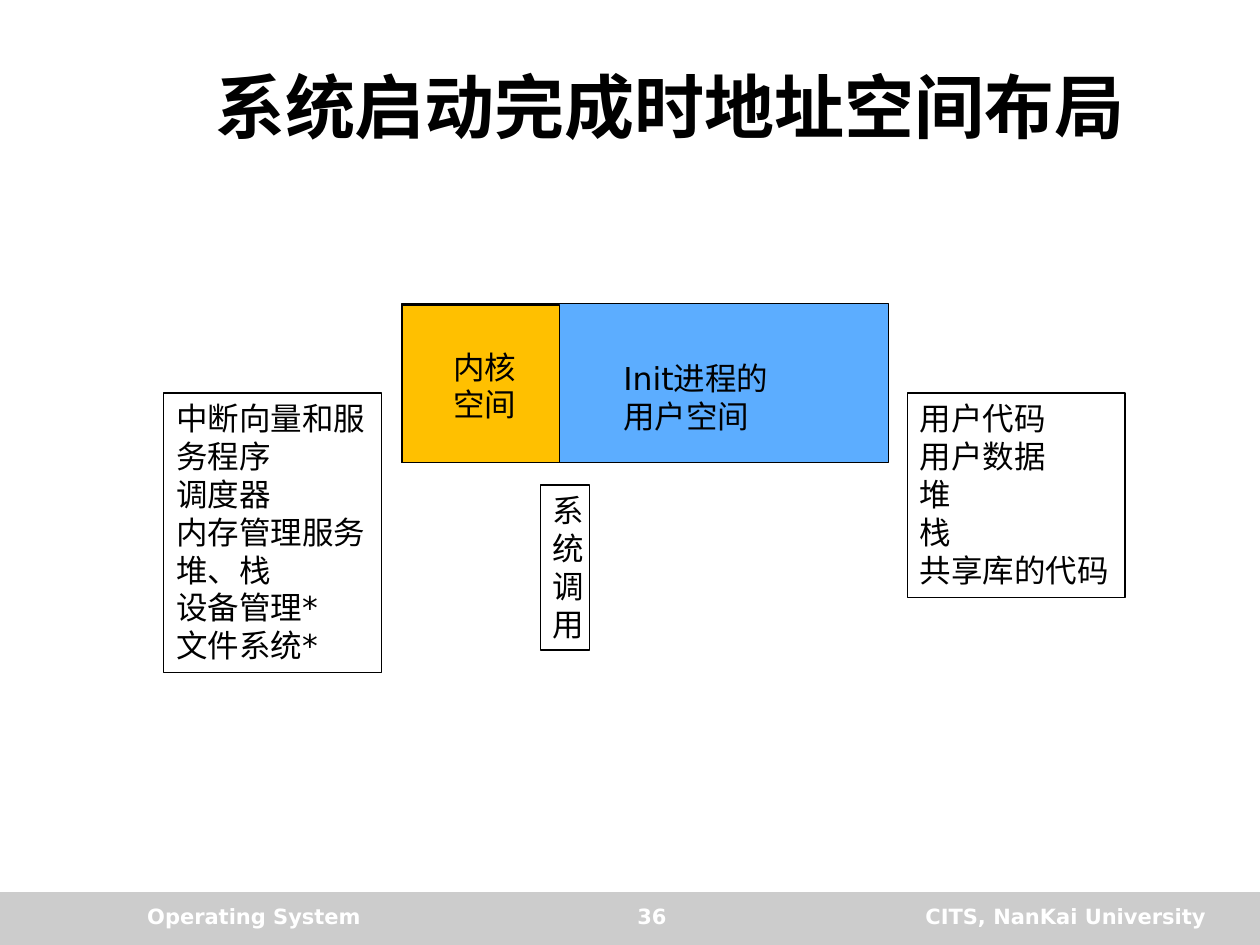
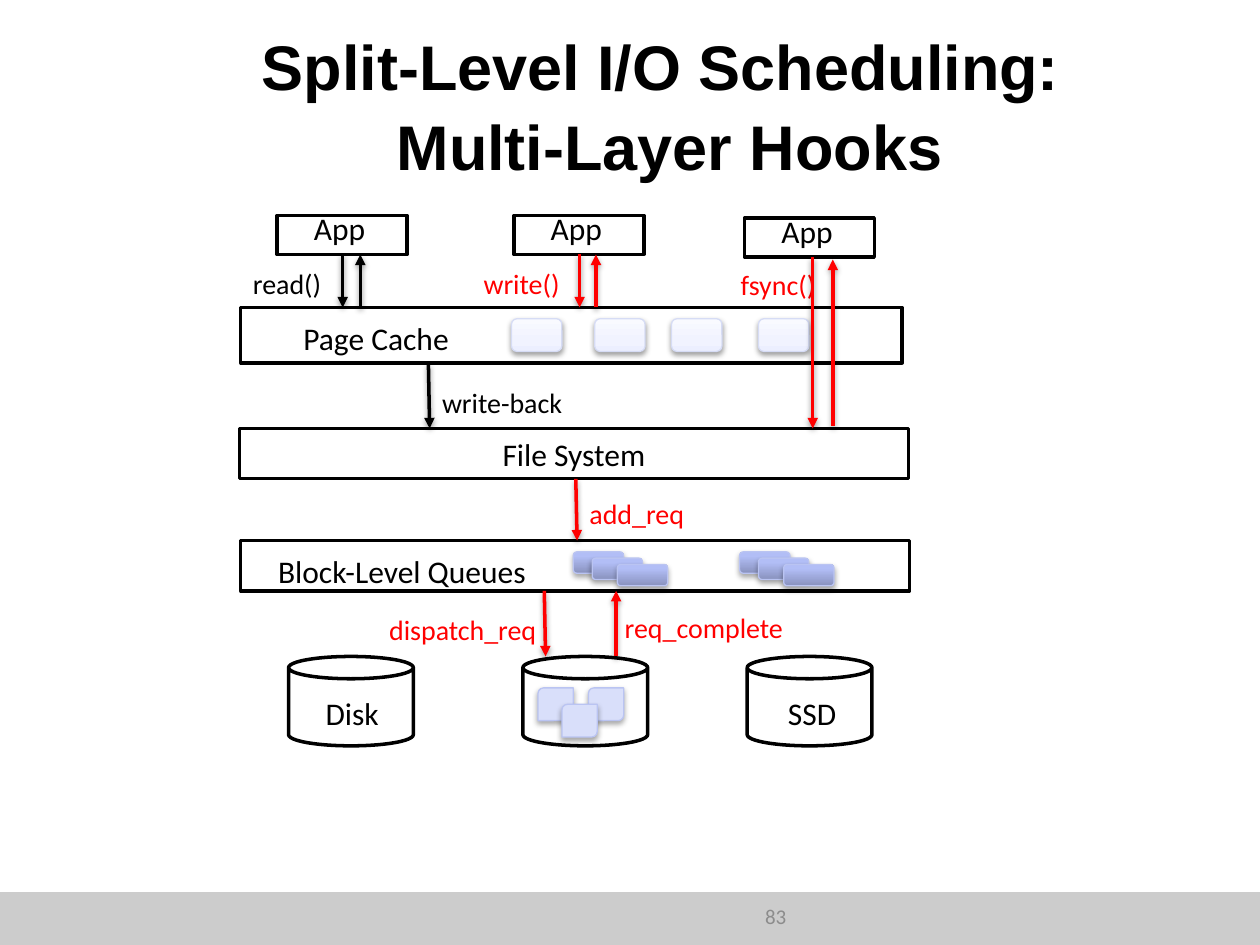
"""Build two operating-system slides: address space layout and I/O scheduling hooks."""
from lxml import etree
from pptx import Presentation
from pptx.dml.color import RGBColor
from pptx.enum.shapes import MSO_CONNECTOR, MSO_SHAPE
from pptx.enum.text import MSO_ANCHOR, MSO_AUTO_SIZE, PP_ALIGN
from pptx.oxml import parse_xml
from pptx.oxml.ns import nsdecls, qn
from pptx.util import Inches, Pt

RECT, ROUND, CAN = MSO_SHAPE.RECTANGLE, MSO_SHAPE.ROUNDED_RECTANGLE, MSO_SHAPE.CAN
DIAG = MSO_SHAPE.ROUND_2_DIAG_RECTANGLE
STRAIGHT = MSO_CONNECTOR.STRAIGHT
LEFT, CENTER, RIGHT = PP_ALIGN.LEFT, PP_ALIGN.CENTER, PP_ALIGN.RIGHT
TOP, MIDDLE = MSO_ANCHOR.TOP, MSO_ANCHOR.MIDDLE
NO_AUTOFIT = MSO_AUTO_SIZE.NONE

BLACK, WHITE, RED, BAND, MUTED = "000000", "FFFFFF", "FF0000", "CCCCCC", "8C8C8C"
USER_BLUE, KERNEL_ORANGE = "5CADFF", "FFC000"
PAGE_LINE, REQUEST_LINE, BLOCK_FILL = "D6DCF5", "BAC4F2", "D9DFFA"
PAGE_GRADIENT = [(0, "ECEFFF"), (35, "F1F3FF"), (100, "F9FAFF")]
REQUEST_GRADIENT = [(0, "8992BE"), (80, "B2BEF6"), (100, "B2BEF9")]
SOFT_SHADOW = (38, 40000, 20000)
DEEP_SHADOW = (35, 40000, 23000)

TITLE_AT = (1.06, 0.33, 8.51, 0.98)
BAND_AT = (0, 7.08, 10, 0.42)
COURSE_AT = (1.07, 7.12, 2.75, 0.33)
NUMBER_AT = (4.01, 7.12, 2.33, 0.33)
SCHOOL_AT = (6.5, 7.12, 3.17, 0.33)

LAYOUT_FONT = ("DejaVu Sans", 18, BLACK)
FOOTER_FONT = ("DejaVu Sans", 12, WHITE, True)
NUMBER_FONT = ("Calibri", 12, MUTED)
LAYER_FONT = ("Calibri", 18, BLACK)

SPACES = [
    ((3.19, 2.41, 3.86, 1.26), USER_BLUE),
    ((3.19, 2.42, 1.25, 1.25), KERNEL_ORANGE),
]
SPACE_NAMES = [
    ((4.85, 2.8, 1.93, 0.71), ["Init进程的", "用户空间"]),
    ((3.5, 2.71, 1.01, 0.71), ["内核", "空间"]),
]
SPACE_CONTENTS = [
    ((1.3, 3.12, 1.73, 2.22),
     ["中断向量和服务程序", "调度器", "内存管理服务", "堆、栈", "设备管理*", "文件系统*"]),
    ((7.2, 3.12, 1.73, 1.62), ["用户代码", "用户数据", "堆", "栈", "共享库的代码"]),
    ((4.29, 3.85, 0.39, 1.31), ["系统调用"]),
]

LAYERS = [
    (RECT, (1.91, 2.44, 5.25, 0.44)),
    (RECT, (1.9, 3.4, 5.31, 0.4)),
    (RECT, (1.91, 4.29, 5.31, 0.4)),
]
LAYER_NAMES = [
    ("Page Cache", (1.9, 2.48, 2.17, 0.32)),
    ("File System", (1.9, 3.4, 5.31, 0.26)),
    ("Block-Level Queues", (1.95, 4.33, 2.48, 0.32)),
    ("Disk", (2.35, 5.46, 0.89, 0.32)),
    ("SSD", (6, 5.46, 0.89, 0.32)),
]
APPS = [(2.2, 1.71), (4.08, 1.71), (5.91, 1.73)]
DEVICES_X = [2.29, 4.15, 5.93]
PAGES_X = [4.06, 4.72, 5.33, 6.02]
QUEUES_X = [4.55, 5.87]
REQUEST_STEPS = [(0, 0), (0.15, 0.05), (0.35, 0.1)]
DISK_BLOCKS = [(4.27, 5.46), (4.67, 5.46), (4.46, 5.59)]
HOOKS = [
    ("read()", (1.91, 2.07, 0.8, 0.36), BLACK),
    ("write()", (3.74, 2.07, 0.9, 0.36), RED),
    ("fsync()", (5.78, 2.07, 0.81, 0.29), RED),
    ("write-back", (3.41, 3.01, 1.32, 0.36), BLACK),
    ("add_req", (4.58, 3.89, 1.02, 0.29), RED),
    ("dispatch_req", (2.99, 4.81, 1.48, 0.36), RED),
    ("req_complete", (4.86, 4.8, 1.55, 0.36), RED),
]
ARROWS = [
    (2.72, 2.02, 2.72, 2.44, BLACK),
    (2.86, 2.44, 2.86, 2.02, BLACK),
    (4.6, 2.02, 4.6, 2.44, RED),
    (4.73, 2.44, 4.73, 2.02, RED),
    (6.45, 2.04, 6.45, 3.4, RED),
    (6.61, 3.38, 6.61, 2.06, RED),
    (3.4, 2.89, 3.41, 3.4, BLACK),
    (4.57, 3.8, 4.58, 4.29, RED),
    (4.32, 4.69, 4.33, 5.21, RED),
    (4.89, 5.21, 4.89, 4.69, RED),
]


def rgb(color):
    return RGBColor.from_string(color)


def inches(at):
    return [Inches(v) for v in at]


def write(tf, lines, font, align=LEFT, anchor=TOP):
    name, size, color, *bold = font
    tf.word_wrap = True
    tf.auto_size = NO_AUTOFIT
    tf.vertical_anchor = anchor
    tf.text = "\n".join(lines)
    for p in tf.paragraphs:
        p.alignment = align
        for r in p.runs:
            r.font.name, r.font.size, r.font.bold = name, Pt(size), bool(bold)
            r.font.color.rgb = rgb(color)


def add_text(s, at, lines, font, align=LEFT):
    write(s.shapes.add_textbox(*inches(at)).text_frame, lines, font, align)


def add_shadow(sp_pr, shadow):
    alpha, blur, dist = shadow
    effects = sp_pr.find(qn("a:effectLst"))
    if effects is None:
        effects = etree.SubElement(sp_pr, qn("a:effectLst"))
    effects.append(parse_xml(
        f'<a:outerShdw {nsdecls("a")} blurRad="{blur}" dist="{dist}" dir="5400000" '
        f'rotWithShape="0"><a:srgbClr val="{BLACK}"><a:alpha val="{alpha * 1000}"/>'
        '</a:srgbClr></a:outerShdw>'))


def add_gradient(sp_pr, stops):
    gs = "".join(f'<a:gs pos="{pos * 1000}"><a:srgbClr val="{color}"/></a:gs>'
                 for pos, color in stops)
    sp_pr.find(qn("a:prstGeom")).addnext(parse_xml(
        f'<a:gradFill {nsdecls("a")} rotWithShape="1"><a:gsLst>{gs}</a:gsLst>'
        '<a:lin ang="16200000" scaled="0"/></a:gradFill>'))


def add_box(s, kind, at, fill=None, line=BLACK, width=0.75, shadow=None):
    sp = s.shapes.add_shape(kind, *inches(at))
    sp.shadow.inherit = False
    if isinstance(fill, list):
        add_gradient(sp._element.spPr, fill)
    elif fill:
        sp.fill.solid()
        sp.fill.fore_color.rgb = rgb(fill)
    else:
        sp.fill.background()
    if line:
        sp.line.color.rgb = rgb(line)
        sp.line.width = Pt(width)
    else:
        sp.line.fill.background()
    if shadow:
        add_shadow(sp._element.spPr, shadow)
    return sp


def add_arrow(s, x1, y1, x2, y2, color):
    cxn = s.shapes.add_connector(STRAIGHT, *inches((x1, y1, x2, y2)))
    cxn.line.color.rgb = rgb(color)
    cxn.line.width = Pt(2)
    etree.SubElement(cxn.line._get_or_add_ln(), qn("a:tailEnd"), type="triangle")
    add_shadow(cxn._element.spPr, SOFT_SHADOW)


def add_slide(prs, title, font, number, number_font, number_align):
    s = prs.slides.add_slide(prs.slide_layouts[5])
    add_box(s, RECT, BAND_AT, BAND, None)
    sp = s.shapes.title
    sp.left, sp.top, sp.width, sp.height = inches(TITLE_AT)
    write(sp.text_frame, [title], (font[0], font[1], BLACK, True), CENTER, MIDDLE)
    sp.text_frame.paragraphs[0].line_spacing = 1.05
    add_text(s, NUMBER_AT, [number], number_font, number_align)
    return s


def build_address_space(prs):
    s = add_slide(prs, "系统启动完成时地址空间布局", ("Times New Roman", 40),
                  "36", FOOTER_FONT, CENTER)
    add_text(s, COURSE_AT, ["Operating System"], FOOTER_FONT)
    add_text(s, SCHOOL_AT, ["CITS, NanKai University"], FOOTER_FONT, RIGHT)
    for at, fill in SPACES:
        add_box(s, RECT, at, fill)
    for at, lines in SPACE_NAMES:
        add_text(s, at, lines, LAYOUT_FONT)
    for at, lines in SPACE_CONTENTS:
        write(add_box(s, RECT, at).text_frame, lines, LAYOUT_FONT)


def build_io_hooks(prs):
    s = add_slide(prs, "Split-Level I/O Scheduling: \vMulti-Layer Hooks", ("Arial", 36),
                  "83", NUMBER_FONT, RIGHT)
    cans = [(CAN, (x, 5.21, 0.99, 0.71)) for x in DEVICES_X]
    apps = [(RECT, (x, y, 1.03, 0.31)) for x, y in APPS]
    for kind, at in LAYERS + cans + apps:
        add_box(s, kind, at, WHITE, width=2)
    for x, y in APPS:
        add_text(s, (x - 0.02, y - 0.1, 1.03, 0.23), ["App"], LAYER_FONT, CENTER)
    for name, at in LAYER_NAMES:
        add_text(s, at, [name], LAYER_FONT, CENTER)
    for x in PAGES_X:
        add_box(s, ROUND, (x, 2.53, 0.4, 0.26), PAGE_GRADIENT, PAGE_LINE, shadow=SOFT_SHADOW)
    for x in QUEUES_X:
        for dx, dy in REQUEST_STEPS:
            add_box(s, ROUND, (x + dx, 4.38 + dy, 0.4, 0.17), REQUEST_GRADIENT,
                    REQUEST_LINE, shadow=DEEP_SHADOW)
    for x, y in DISK_BLOCKS:
        add_box(s, DIAG, (x, y, 0.28, 0.26), BLOCK_FILL, REQUEST_LINE, shadow=DEEP_SHADOW)
    for name, at, color in HOOKS:
        add_text(s, at, [name], ("Calibri", 16, color))
    for arrow in ARROWS:
        add_arrow(s, *arrow)


def main():
    prs = Presentation()
    prs.slide_width, prs.slide_height = Inches(10), Inches(7.5)
    build_address_space(prs)
    build_io_hooks(prs)
    prs.save("out.pptx")


if __name__ == "__main__":
    main()
